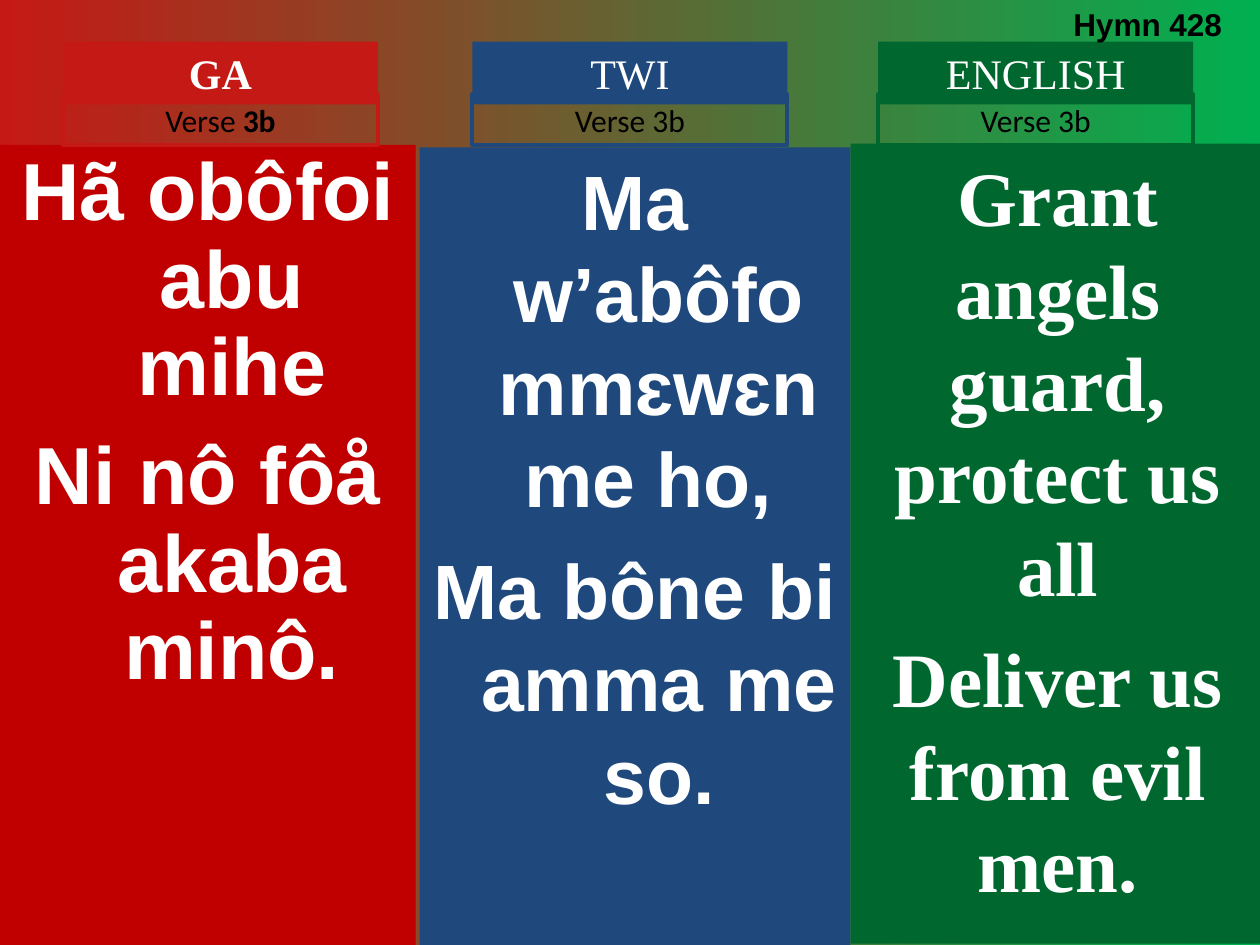
from pptx import Presentation
from pptx.dml.color import RGBColor as RGB
from pptx.enum.shapes import MSO_SHAPE as Kind
from pptx.enum.text import MSO_ANCHOR as Anchor, PP_ALIGN as Align
from pptx.util import Inches, Pt


def paint(item, tone):
    item.solid()
    item.fore_color.rgb = RGB.from_string(tone)


def write(box, paras, face, size, tone, bold, gap=0, hang=0, lead=None, align=Align.CENTER):
    frame = box.text_frame
    frame.word_wrap = True
    frame.vertical_anchor = Anchor.TOP
    for i, text in enumerate(paras):
        para = frame.paragraphs[0] if i == 0 else frame.add_paragraph()
        para.text = text
        para.alignment = align
        para.space_before = Pt(gap if i else 0)
        if lead:
            para.line_spacing = lead
        if hang:
            props = para._p.get_or_add_pPr()
            props.set("marL", str(Inches(hang)))
            props.set("indent", str(Inches(-hang)))
        font = para.font
        font.name, font.size, font.bold = face, Pt(size), bold
        font.color.rgb = RGB.from_string(tone)


deck = Presentation()
deck.slide_width, deck.slide_height = Inches(10), Inches(7.5)
slide = deck.slides.add_slide(deck.slide_layouts[6])
shapes = slide.shapes

back = slide.background.fill
back.gradient()
back.gradient_angle = 0
for stop, (spot, tone) in zip(back.gradient_stops, [(0, "C51915"), (1, "00B050")]):
    stop.position = spot
    stop.color.rgb = RGB.from_string(tone)

langs = [
    ("GA", 0.5, "C51915", True, (0, 1.15, 3.3, 6.35), "C00000", "Arial", 46.2, 12.5, 0.38, 0.9,
     ["Hã obôfoi abu mihe", "Ni nô fôå akaba minô."]),
    ("TWI", 3.75, "1F497D", False, (3.33, 1.17, 3.42, 6.33), "1F497D", "Arial", 44, 11, 0.38, None,
     ["Ma w’abôfo mmɛwɛn me ho, ", "Ma bône bi amma me so."]),
    ("ENGLISH", 6.97, "00682F", False, (6.75, 1.14, 3.29, 6.35), "00682F", "Times New Roman", 44, 11, 0, None,
     ["Grant angels guard, protect us all", "Deliver us from evil men."]),
]

for name, left, tone, bold, area, fill, face, size, gap, hang, lead, verse in langs:
    panel, head, label = [
        shapes.add_shape(Kind.RECTANGLE, *map(Inches, spot))
        for spot in (area, (left, 0.33, 2.5, 0.5), (left, 0.75, 2.5, 0.4))
    ]
    for box in (panel, head, label):
        box.shadow.inherit = False
    for box, shade in ((panel, fill), (head, tone)):
        paint(box.fill, shade)
        box.line.fill.background()
    label.fill.background()
    paint(label.line.fill, tone)
    label.line.width = Pt(2.25)
    write(panel, verse, face, size, "FFFFFF", True, gap, hang, lead)
    write(head, [name], "Times New Roman", 24, "FFFFFF", bold)
    write(label, ["Verse"], "Calibri", 18, "000000", False)
    run = label.text_frame.paragraphs[0].add_run()
    run.text = " 3b"
    run.font.bold = bold

hymn = shapes.add_textbox(*map(Inches, (8.42, -0.01, 1.5, 0.4)))
write(hymn, ["Hymn 428"], "Arial", 18, "000000", True, align=Align.LEFT)

deck.save("out.pptx")
